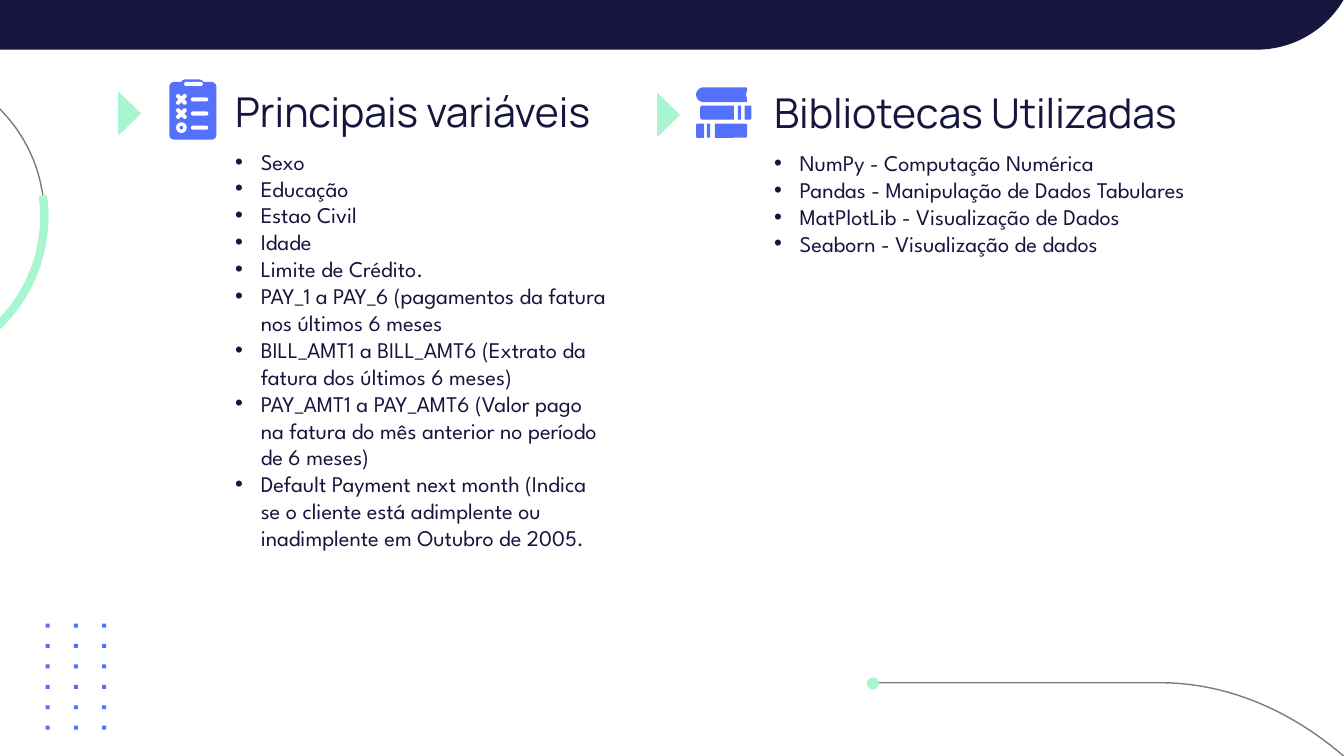
from math import cos, radians, sin

from pptx import Presentation
from pptx.dml.color import RGBColor
from pptx.enum.shapes import MSO_SHAPE
from pptx.enum.text import MSO_ANCHOR, MSO_AUTO_SIZE
from pptx.util import Inches, Pt

NAVY, BLUE, MINT, GRAY, WHITE = "15153E", "5571FB", "A7F6CF", "7A7A7A", "FFFFFF"

VARIABLES = [
    "Sexo",
    "Educação",
    "Estao Civil",
    "Idade",
    "Limite de Crédito.",
    "PAY_1 a PAY_6 (pagamentos da fatura nos últimos 6 meses",
    "BILL_AMT1 a BILL_AMT6 (Extrato da fatura dos últimos 6 meses)",
    "PAY_AMT1 a PAY_AMT6 (Valor pago na fatura do mês anterior no período de 6 meses)",
    "Default Payment next month (Indica se o cliente está adimplente ou "
    "inadimplente em Outubro de 2005.",
]
LIBRARIES = [
    "NumPy - Computação Numérica",
    "Pandas - Manipulação de Dados Tabulares",
    "MatPlotLib - Visualização de Dados",
    "Seaborn - Visualização de dados",
]


def color(value):
    return RGBColor.from_string(value)


def paint(shape, fill=None, line=None, width=0.75):
    shape.shadow.inherit = False
    if fill:
        shape.fill.solid()
        shape.fill.fore_color.rgb = color(fill)
    else:
        shape.fill.background()
    if line:
        shape.line.color.rgb = color(line)
        shape.line.width = Pt(width)
    else:
        shape.line.fill.background()


def add_preset(slide, kind, left, top, width, height, fill, radius=None, rotation=0):
    shape = slide.shapes.add_shape(
        kind, Inches(left), Inches(top), Inches(width), Inches(height))
    if radius is not None:
        shape.adjustments[0] = radius
    shape.rotation = rotation
    paint(shape, fill)
    return shape


def add_outline(slide, points, closed=True, **style):
    points = [(Inches(x), Inches(y)) for x, y in points]
    builder = slide.shapes.build_freeform(*points[0])
    builder.add_line_segments(points[1:], close=closed)
    paint(builder.convert_to_shape(), **style)


def arc(center_x, center_y, radius_x, radius_y, start, end, steps=60):
    """Points on an ellipse; angles in degrees, clockwise from the right."""
    angles = [radians(start + (end - start) * i / steps) for i in range(steps + 1)]
    return [(center_x + radius_x * cos(a), center_y + radius_y * sin(a)) for a in angles]


def write(shape, box, lines, font, size, anchor=MSO_ANCHOR.TOP, bullets=False):
    shape.left, shape.top, shape.width, shape.height = map(Inches, box)
    frame = shape.text_frame
    frame.word_wrap = True
    frame.auto_size = MSO_AUTO_SIZE.NONE
    frame.vertical_anchor = anchor
    frame.margin_left = frame.margin_right = frame.margin_top = Inches(0.1)
    frame.margin_bottom = 0
    frame.text = "\n".join(lines)
    for paragraph in frame.paragraphs:
        paragraph.space_before = Pt(0)
        paragraph.line_spacing = 1.0
        if bullets:
            properties = paragraph._p.get_or_add_pPr()
            properties.set("marL", str(Inches(0.19)))
            properties.set("indent", str(-Inches(0.19)))
        for run in paragraph.runs:
            run.font.name = font
            run.font.size = Pt(size)
            run.font.bold = False
            run.font.color.rgb = color(NAVY)


def add_column(slide, left, top, title, title_width, items, list_width, first_index):
    holders = slide.placeholders
    write(holders[first_index], (left, top, title_width, 0.48), [title],
          "Manrope", 22, anchor=MSO_ANCHOR.BOTTOM)
    write(holders[first_index + 1], (left, top + 0.47, list_width, 3.98), items,
          "League Spartan", 12, bullets=True)
    # Pointer to the left of the heading
    x, y = left - 0.77, top + 0.15
    add_outline(slide, [(x, y), (x + 0.17, y + 0.165), (x, y + 0.33)], fill=MINT)


def add_clipboard(slide, left, top):
    rounded = MSO_SHAPE.ROUNDED_RECTANGLE
    add_preset(slide, rounded, left, top + 0.02, 0.35, 0.43, BLUE, 0.1)
    add_preset(slide, rounded, left + 0.08, top, 0.18, 0.08, BLUE, 0.5)
    add_preset(slide, rounded, left + 0.11, top + 0.02, 0.14, 0.03, WHITE, 0.5)
    for row in range(3):
        y = top + 0.15 + 0.105 * row
        add_preset(slide, rounded, left + 0.16, y - 0.015, 0.13, 0.03, WHITE, 0.5)
        if row < 2:
            for angle in (45, -45):
                add_preset(slide, rounded, left + 0.04, y - 0.015, 0.1, 0.03,
                           WHITE, 0.5, angle)
    add_preset(slide, MSO_SHAPE.DONUT, left + 0.05, top + 0.32, 0.08, 0.08, WHITE, 0.32)


def add_books(slide, left, top):
    # Top book: round spine, hollow page edge
    add_outline(slide, arc(left + 0.055, top + 0.055, 0.055, 0.055, 90, 270, 20) + [
        (left + 0.38, top), (left + 0.38, top + 0.02), (left + 0.37, top + 0.055),
        (left + 0.38, top + 0.09), (left + 0.38, top + 0.11)], fill=BLUE)
    # Lower books: plain strips, then end blocks with rounded outer corners
    plain, rounded = MSO_SHAPE.RECTANGLE, MSO_SHAPE.ROUND_2_SAME_RECTANGLE
    for x, y, width in [(0.31, 0.135, 0.025), (0.08, 0.27, 0.025)]:
        add_preset(slide, plain, left + x, top + y, width, 0.105, BLUE)
    for x, y, width, rotation in [(0.03, 0.135, 0.25, -90), (0.36, 0.135, 0.05, 90),
                                  (0, 0.27, 0.06, -90), (0.14, 0.27, 0.24, 90)]:
        # Rotated a quarter turn, so width and height are swapped about the centre
        add_preset(slide, rounded, left + x + (width - 0.105) / 2,
                   top + y + (0.105 - width) / 2, 0.105, width, BLUE, 0.15, rotation)


def add_decoration(slide):
    # Top bar with a rounded right corner
    add_outline(slide, [(0, 0), (0, 0.37)] + arc(9.35, -0.38, 0.75, 0.75, 90, 30.45),
                fill=NAVY)
    # Ring on the left edge
    add_outline(slide, arc(-0.8, 1.61, 1.13, 1.13, 82, 352), closed=False, line=GRAY)
    add_outline(slide, arc(-0.8, 1.61, 1.13, 1.13, -8, 82), closed=False,
                line=MINT, width=4.5)
    # Curved line at the bottom right
    add_outline(slide, [(6.5, 5.08)] + arc(8.63, 9.26, 2.77, 4.18, -90, 0)
                + [(11.4, 10.59)], closed=False, line=GRAY)
    add_preset(slide, MSO_SHAPE.OVAL, 6.45, 5.04, 0.09, 0.09, MINT)
    # Dot grid
    for row in range(6):
        for column in range(3):
            add_preset(slide, MSO_SHAPE.RECTANGLE, 0.34 + 0.21 * column,
                       4.64 + 0.152 * row, 0.03, 0.03, BLUE)


def main():
    presentation = Presentation()
    # Widescreen, 16:9
    presentation.slide_width = Inches(10)
    presentation.slide_height = Inches(10 * 9 / 16)
    slide = presentation.slides.add_slide(presentation.slide_layouts[4])
    title = slide.shapes.title.element
    title.getparent().remove(title)
    add_decoration(slide)
    add_column(slide, 1.65, 0.53, "Principais variáveis", 3.19, VARIABLES, 2.97, 1)
    add_column(slide, 5.66, 0.54, "Bibliotecas Utilizadas", 3.6, LIBRARIES, 3.91, 3)
    add_clipboard(slide, 1.26, 0.59)
    add_books(slide, 5.18, 0.65)
    presentation.save("out.pptx")


if __name__ == "__main__":
    main()
